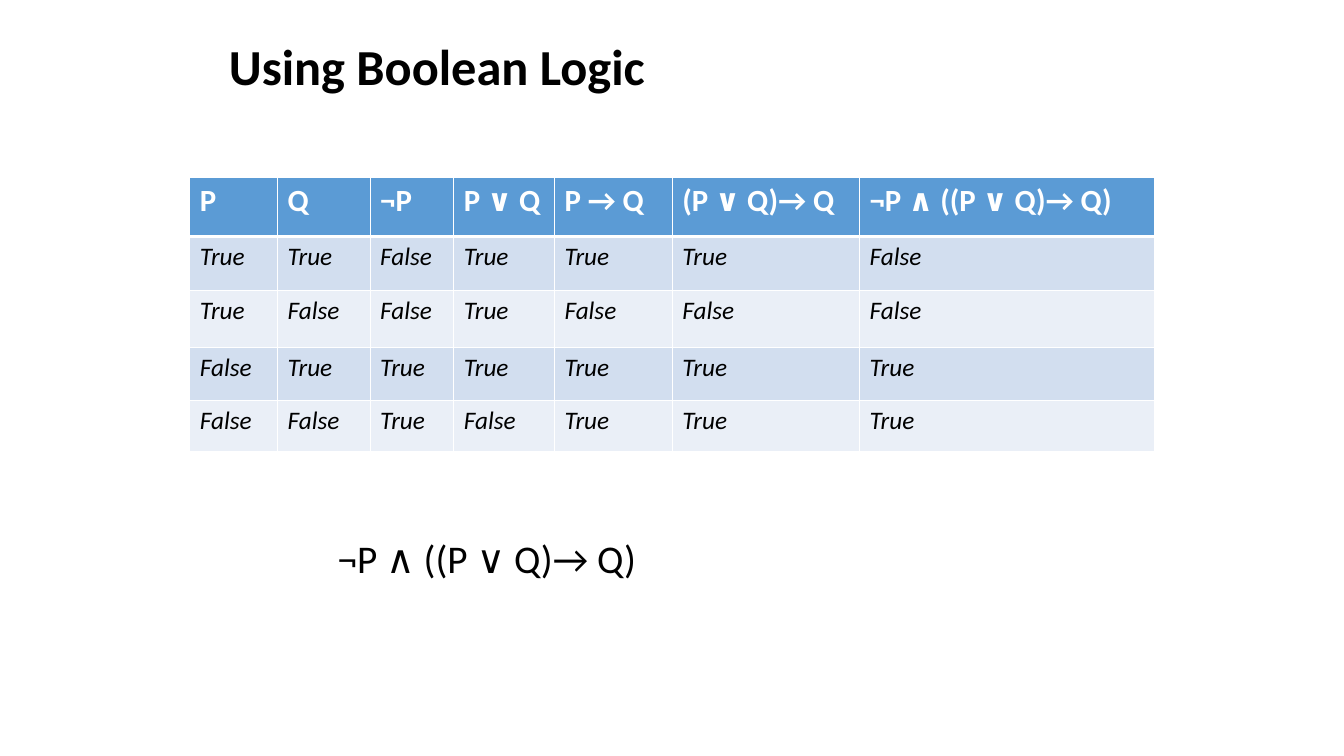
from itertools import product

from lxml.etree import SubElement
from pptx import Presentation
from pptx.dml.color import RGBColor as Color
from pptx.enum.text import MSO_ANCHOR as Anchor, MSO_AUTO_SIZE as AutoSize, PP_ALIGN as Align
from pptx.oxml.ns import qn
from pptx.util import Emu, Inches, Pt

COLORS = {"text": "000000", "white": "FFFFFF", "header": "5B9BD5",
          "odd_row": "D2DEEF", "even_row": "EAEFF7"}
FONT = "Calibri"
FORMULA = "¬P ∧ ((P ∨ Q)→ Q)"
HEADINGS = ["P", "Q", "¬P", "P ∨ Q", "P → Q", "(P ∨ Q)→ Q", FORMULA]
COLUMN_WEIGHTS = [0.87, 0.92, 0.83, 1, 1.17, 1.86, 2.93]
ROW_WEIGHTS = [0.59, 0.54, 0.56, 0.53, 0.51]


def share_box(presentation, left, top, width, height):
    """Turn percentages of the slide's size into a box."""
    across, down = presentation.slide_width / 100, presentation.slide_height / 100
    return [Emu(round(length)) for length in
            (left * across, top * down, width * across, height * down)]


def format_text(paragraph, size, color="text", bold=False, italic=False):
    """Format every run of a paragraph."""
    for run in paragraph.runs:
        font = run.font
        font.name, font.size, font.bold, font.italic = FONT, Pt(size), bold, italic
        font.color.rgb = Color.from_string(COLORS[color])


def truth_values(p, q):
    """Evaluate each column of the truth table for one pair of inputs."""
    either = p or q
    implied = not either or q
    return [p, q, not p, either, not p or q, implied, not p and implied]


def add_borders(cell, bottom_width):
    """Draw white lines on the four sides of a cell."""
    properties = cell._tc.get_or_add_tcPr()
    for side, width in (("L", 1), ("R", 1), ("T", 1), ("B", bottom_width)):
        line = SubElement(properties, qn(f"a:ln{side}"), w=str(Pt(width)))
        fill = SubElement(line, qn("a:solidFill"))
        SubElement(fill, qn("a:srgbClr"), val=COLORS["white"])


def fill_cell(cell, text, row_index):
    """Write and style one cell according to its row."""
    is_header = row_index == 0
    cell.text_frame.text = text
    paragraph = cell.text_frame.paragraphs[0]
    paragraph.alignment = Align.JUSTIFY
    indent = Inches(0.38)
    properties = paragraph._p.get_or_add_pPr()
    properties.set("marL", str(indent))
    properties.set("indent", str(-indent))
    if is_header:
        format_text(paragraph, 22, "white", bold=True)
    else:
        format_text(paragraph, 18, italic=True)
    add_borders(cell, 3 if is_header else 1)
    row_color = "header" if is_header else "odd_row" if row_index % 2 else "even_row"
    cell.fill.solid()
    cell.fill.fore_color.rgb = Color.from_string(COLORS[row_color])


def add_title(slide, box):
    """Place and format the slide title."""
    title = slide.shapes.title
    title.left, title.top, title.width, title.height = box
    frame = title.text_frame
    frame.text = "Using Boolean Logic"
    frame.vertical_anchor = Anchor.MIDDLE
    paragraph = frame.paragraphs[0]
    paragraph.alignment, paragraph.line_spacing = Align.LEFT, 0.9
    format_text(paragraph, 36, bold=True)


def add_truth_table(slide, box):
    """Build the truth table inside its box."""
    inputs = product([True, False], repeat=2)
    rows = [HEADINGS] + [[str(value) for value in truth_values(p, q)] for p, q in inputs]
    table = slide.shapes.add_table(len(rows), len(HEADINGS), *box).table
    table.horz_banding = False
    width, height = box[2:]
    for column, weight in zip(table.columns, COLUMN_WEIGHTS):
        column.width = round(width * weight / sum(COLUMN_WEIGHTS))
    for row, weight in zip(table.rows, ROW_WEIGHTS):
        row.height = round(height * weight / sum(ROW_WEIGHTS))
    for row_index, texts in enumerate(rows):
        for column_index, text in enumerate(texts):
            fill_cell(table.cell(row_index, column_index), text, row_index)


def add_formula(slide, box):
    """Write the evaluated formula below the table."""
    frame = slide.shapes.add_textbox(*box).text_frame
    frame.word_wrap = True
    frame.auto_size = AutoSize.SHAPE_TO_FIT_TEXT
    frame.text = FORMULA
    format_text(frame.paragraphs[0], 28)


def main():
    """Build and save the slide."""
    presentation = Presentation()
    presentation.slide_width, presentation.slide_height = Inches(13.33), Inches(7.5)
    slide = presentation.slides.add_slide(presentation.slide_layouts[5])
    add_title(slide, share_box(presentation, 16.28, 4, 67.5, 10.27))
    add_truth_table(slide, share_box(presentation, 14.13, 23.4, 71.8, 36.4))
    add_formula(slide, share_box(presentation, 24.38, 70, 51.9, 7.6))
    presentation.save("out.pptx")


if __name__ == "__main__":
    main()
